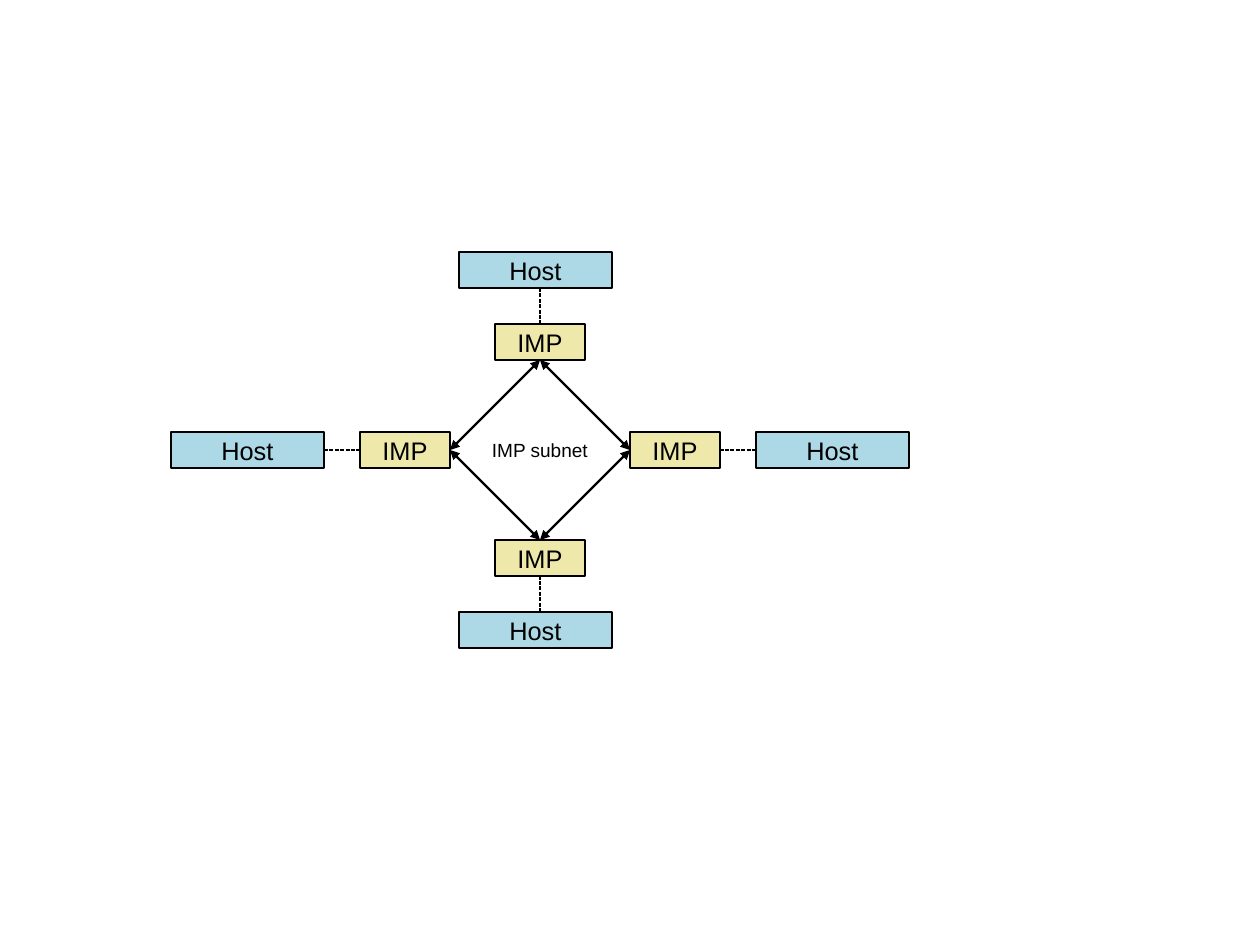
"""Draw four hosts joined through the IMP subnet."""
from pptx import Presentation
from pptx.dml.color import RGBColor as RGB
from pptx.enum.dml import MSO_LINE as DASH
from pptx.enum.shapes import MSO_CONNECTOR as CONN, MSO_SHAPE as SHAPE
from pptx.enum.text import MSO_ANCHOR as ANCHOR, PP_ALIGN as ALIGN
from pptx.oxml.ns import qn
from pptx.util import Pt
from lxml.etree import SubElement as add_sub

PX = 8000
BLACK = RGB(0, 0, 0)
BLUE = RGB(0xAD, 0xD8, 0xE6)
GOLD = RGB(0xEE, 0xE8, 0xAA)
HIGH, HOST_W, IMP_W = 36, 153, 90
TOP, LEFT, BOTTOM, RIGHT = range(4)

deck = Presentation()
deck.slide_width, deck.slide_height = 1260 * PX, 945 * PX
slide = deck.slides.add_slide(deck.slide_layouts[6])
shapes = slide.shapes


def write(shape, text, size=16, pad=7, wrap=False):
    frame = shape.text_frame
    frame.word_wrap = wrap
    frame.vertical_anchor = ANCHOR.MIDDLE
    frame.margin_left = frame.margin_right = 11 * PX
    frame.margin_top = frame.margin_bottom = pad * PX
    par = frame.paragraphs[0]
    par.alignment = ALIGN.CENTER
    run = par.add_run()
    run.text = text
    run.font.name, run.font.size = "Arial", Pt(size)
    run.font.color.rgb = BLACK


def link(start, end, width):
    line = shapes.add_connector(CONN.STRAIGHT, *[n * PX for n in start + end])
    line.line.color.rgb = BLACK
    line.line.width = Pt(width)
    add_sub(line._element.spPr, qn("a:effectLst"))
    return line


sites = [
    (LEFT, (171, 432), (360, 432), RIGHT, (324, 450), (360, 450)),
    (RIGHT, (756, 432), (630, 432), LEFT, (756, 450), (720, 450)),
    (TOP, (459, 252), (495, 324), BOTTOM, (540, 288), (540, 324)),
    (BOTTOM, (459, 612), (495, 540), TOP, (540, 612), (540, 576)),
]
imps = {}
for side, host_at, imp_at, inner, start, end in sites:
    pair = []
    for text, spot, wide, fill in (("Host", host_at, HOST_W, BLUE),
                                   ("IMP", imp_at, IMP_W, GOLD)):
        box = shapes.add_shape(SHAPE.RECTANGLE,
                               *[n * PX for n in (*spot, wide, HIGH)])
        box.shadow.inherit = False
        box.fill.solid()
        box.fill.fore_color.rgb = fill
        box.line.color.rgb = BLACK
        box.line.width = Pt(0.85)
        write(box, text)
        pair.append(box)
    host, imp = pair
    imps[side] = imp, inner
    wire = link(start, end, 0.85)
    wire.line.dash_style = DASH.SQUARE_DOT
    if side in (LEFT, RIGHT):
        wire.begin_connect(host, inner)
    wire.end_connect(imp, side)

ends = {LEFT: (450, 450), RIGHT: (630, 450), TOP: (540, 360), BOTTOM: (540, 540)}
for first, last in ((LEFT, TOP), (TOP, RIGHT), (LEFT, BOTTOM), (BOTTOM, RIGHT)):
    edge = link(ends[first], ends[last], 1.42)
    for tag in ("a:headEnd", "a:tailEnd"):
        add_sub(edge.line._get_or_add_ln(), qn(tag), type="triangle")
    edge.begin_connect(*imps[first])
    edge.end_connect(*imps[last])

label = shapes.add_textbox(*[n * PX for n in (450, 360, 180, 180)])
write(label, "IMP subnet", size=12, pad=6, wrap=True)

deck.save("out.pptx")
